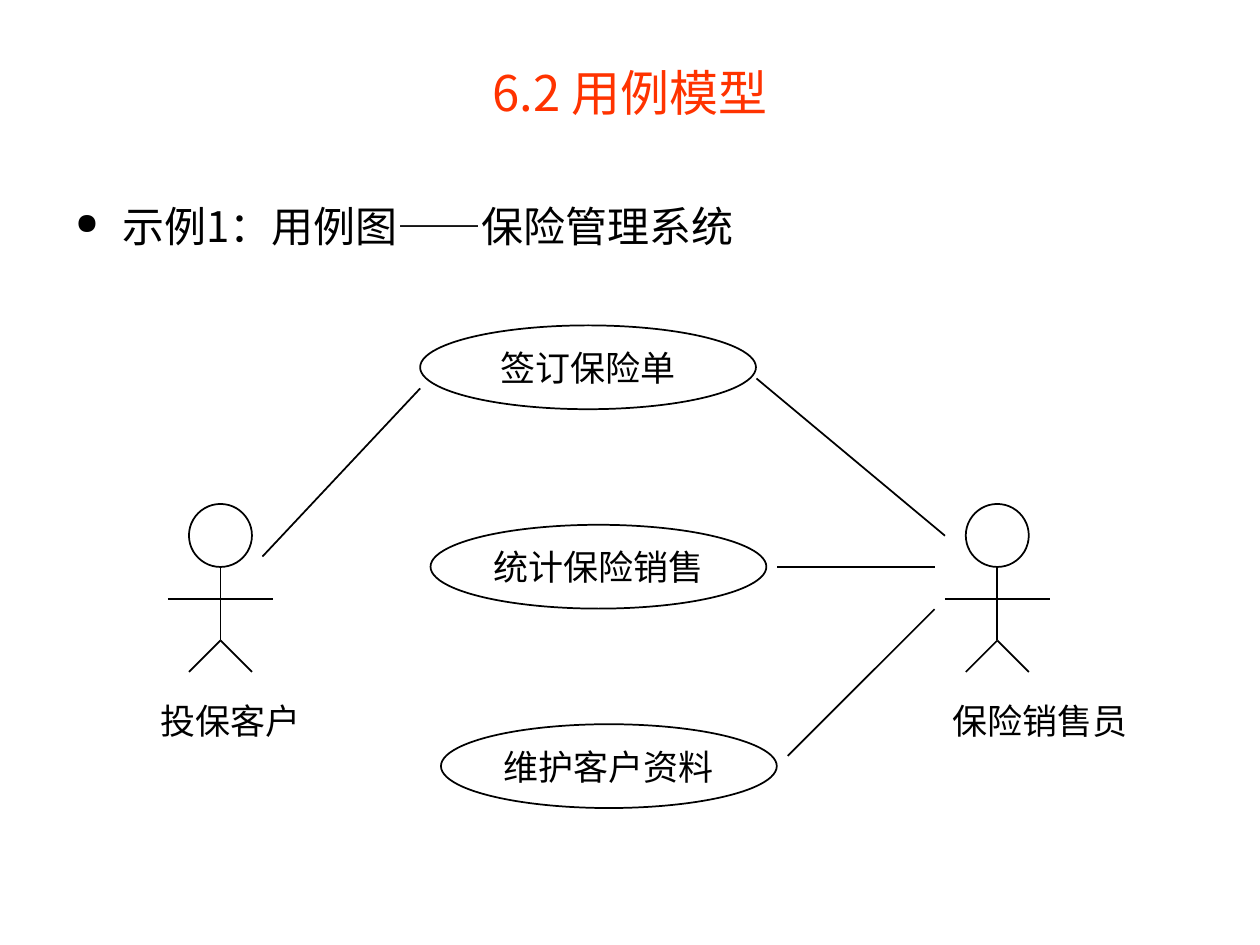
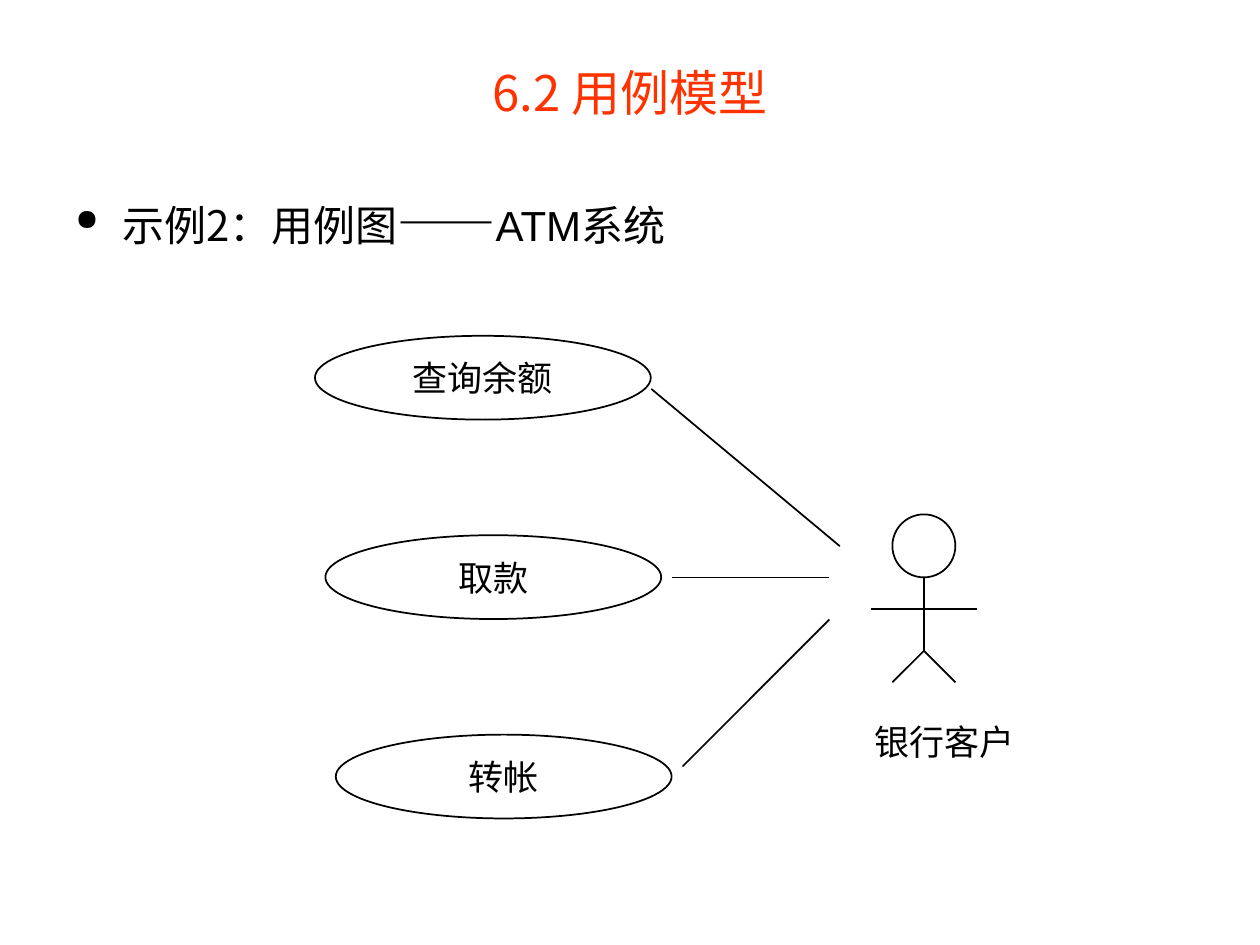
from lxml.etree import SubElement
from pptx import Presentation
from pptx.dml.color import RGBColor
from pptx.enum.shapes import MSO_CONNECTOR, MSO_SHAPE
from pptx.enum.text import MSO_ANCHOR, MSO_AUTO_SIZE, PP_ALIGN
from pptx.oxml.ns import qn
from pptx.util import Cm, Pt

SANS = "Noto Sans CJK SC"
SERIF = "Times New Roman"
INK, PAPER, RED = "000000", "FFFFFF", "FF3300"
HEAD = 1.27
OVAL = (6.77, 1.69)
STEP = (0.21, 4.02)
LINKS = [
    ((6.78, 1.07), (10.58, 4.24)),
    ((7.2, 4.87), (10.37, 4.87)),
    ((7.41, 8.68), (10.37, 5.72)),
]


def tint(code):
    return RGBColor.from_string(code)


class Deck:
    def __init__(self):
        self.show = Presentation()
        self.show.slide_width = Cm(25.4)
        self.show.slide_height = Cm(19.05)
        self.slide = None

    def page(self, title):
        self.slide = self.show.slides.add_slide(self.show.slide_layouts[5])
        fill = self.slide.background.fill
        fill.solid()
        fill.fore_color.rgb = tint(PAPER)
        shape = self.slide.shapes.title
        place = {"left": 1.27, "top": 0.76, "width": 22.86, "height": 2.2}
        for key, val in place.items():
            setattr(shape, key, Cm(val))
        para = self.frame(shape, vertical_anchor=MSO_ANCHOR.MIDDLE)
        para.alignment = PP_ALIGN.CENTER
        self.run(para, title, 28, SANS, RED)

    def frame(self, shape, **extra):
        form = {
            "auto_size": MSO_AUTO_SIZE.NONE,
            "word_wrap": True,
            "vertical_anchor": MSO_ANCHOR.TOP,
            "margin_left": Cm(0.25),
            "margin_right": Cm(0.25),
            "margin_top": Cm(0.13),
            "margin_bottom": Cm(0.13),
        }
        for key, val in (form | extra).items():
            setattr(shape.text_frame, key, val)
        return shape.text_frame.paragraphs[0]

    def run(self, para, text, size, face, ink=INK):
        run = para.add_run()
        run.text = text
        form = {"size": Pt(size), "name": face, "bold": False}
        for key, val in form.items():
            setattr(run.font, key, val)
        run.font.color.rgb = tint(ink)
        asian = SubElement(run.font._element, qn("a:ea"))
        asian.set("typeface", SANS)

    def box(self, x, y, w, h):
        return self.slide.shapes.add_textbox(Cm(x), Cm(y), Cm(w), Cm(h))

    def bullet(self, top, runs):
        para = self.frame(self.box(1.27, top, 22.86, 13.3))
        props = para._p.get_or_add_pPr()
        props.set("marL", str(Cm(0.95)))
        props.set("indent", str(Cm(-0.95)))
        SubElement(props, qn("a:buSzPct")).set("val", "70000")
        SubElement(props, qn("a:buChar")).set("char", "●")
        para.line_spacing = 1.3
        for text, size, face in runs:
            self.run(para, text, size, face)

    def label(self, text, x, y, w):
        para = self.frame(self.box(x, y, w, 1.12))
        para.alignment = PP_ALIGN.CENTER
        self.run(para, text, 20, SERIF)

    def oval(self, x, y, w, h, home=None):
        shapes = (home or self.slide).shapes
        shape = shapes.add_shape(MSO_SHAPE.OVAL, Cm(x), Cm(y), Cm(w), Cm(h))
        shape.shadow.inherit = False
        shape.fill.solid()
        shape.fill.fore_color.rgb = tint(PAPER)
        self.stroke(shape)
        return shape

    def stroke(self, shape):
        shape.line.color.rgb = tint(INK)
        shape.line.width = Pt(1)

    def line(self, start, end, home=None):
        ends = [Cm(val) for val in (*start, *end)]
        shapes = (home or self.slide).shapes
        link = shapes.add_connector(MSO_CONNECTOR.STRAIGHT, *ends)
        self.stroke(link)
        SubElement(link._element.spPr, qn("a:effectLst"))

    def actor(self, x, y):
        group = self.slide.shapes.add_group_shape()
        self.oval(x, y, HEAD, HEAD, group)
        mid, hip = x + HEAD / 2, y + 2.75
        self.line((mid - 1.06, y + 1.91), (mid + 1.06, y + 1.91), group)
        self.line((mid, y + HEAD), (mid, hip), group)
        for side in (-1, 1):
            self.line((mid, hip), (mid + side * HEAD / 2, hip + HEAD / 2), group)

    def cases(self, x, y, names):
        for i, name in enumerate(names):
            shape = self.oval(x + i * STEP[0], y + i * STEP[1], *OVAL)
            para = self.frame(
                shape, word_wrap=False, vertical_anchor=MSO_ANCHOR.MIDDLE
            )
            para.alignment = PP_ALIGN.CENTER
            self.run(para, name, 20, SERIF)
        for (ax, ay), (bx, by) in LINKS:
            self.line((x + ax, y + ay), (x + bx, y + by))


def main():
    deck = Deck()
    title = "6.2 用例模型"

    deck.page(title)
    deck.bullet(3.6, [("示例1：用例图——保险管理系统", 24, SANS)])
    deck.actor(3.81, 10.16)
    deck.actor(19.47, 10.16)
    deck.cases(8.47, 6.56, ["签订保险单", "统计保险销售", "维护客户资料"])
    deck.line((5.29, 11.22), (8.47, 7.83))
    deck.label("投保客户", 2.54, 13.97, 4.23)
    deck.label("保险销售员", 18.42, 13.97, 5.08)

    deck.page(title)
    deck.bullet(3.39, [
        ("示例2：用例图", 24, SANS),
        ("——", 28, SANS),
        ("ATM", 24, "Arial"),
        ("系统", 24, SANS),
    ])
    deck.actor(17.99, 10.37)
    deck.cases(6.35, 6.77, ["查询余额", "取款", "转帐"])
    deck.label("银行客户", 16.51, 14.39, 5.08)

    deck.show.save("out.pptx")


if __name__ == "__main__":
    main()
